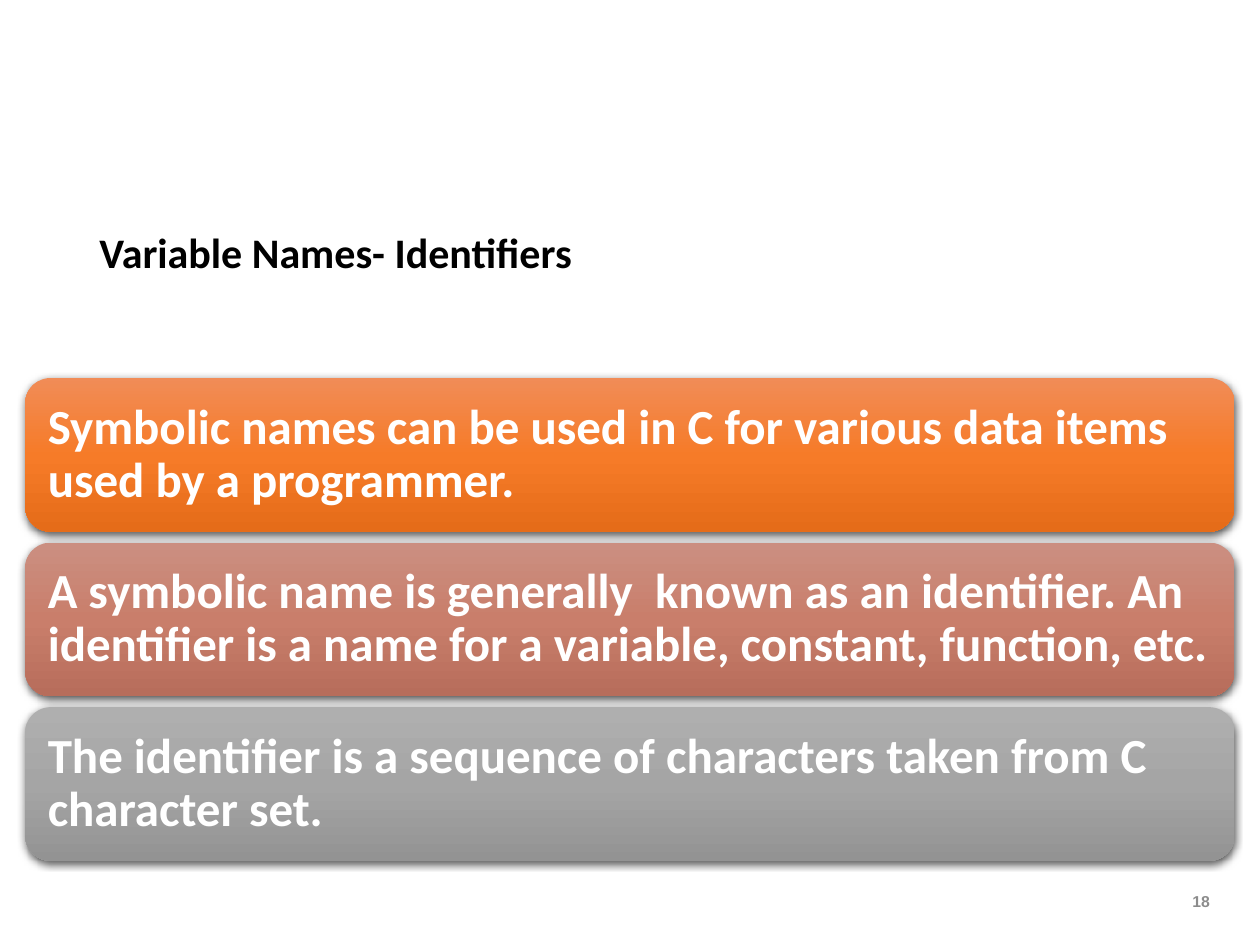
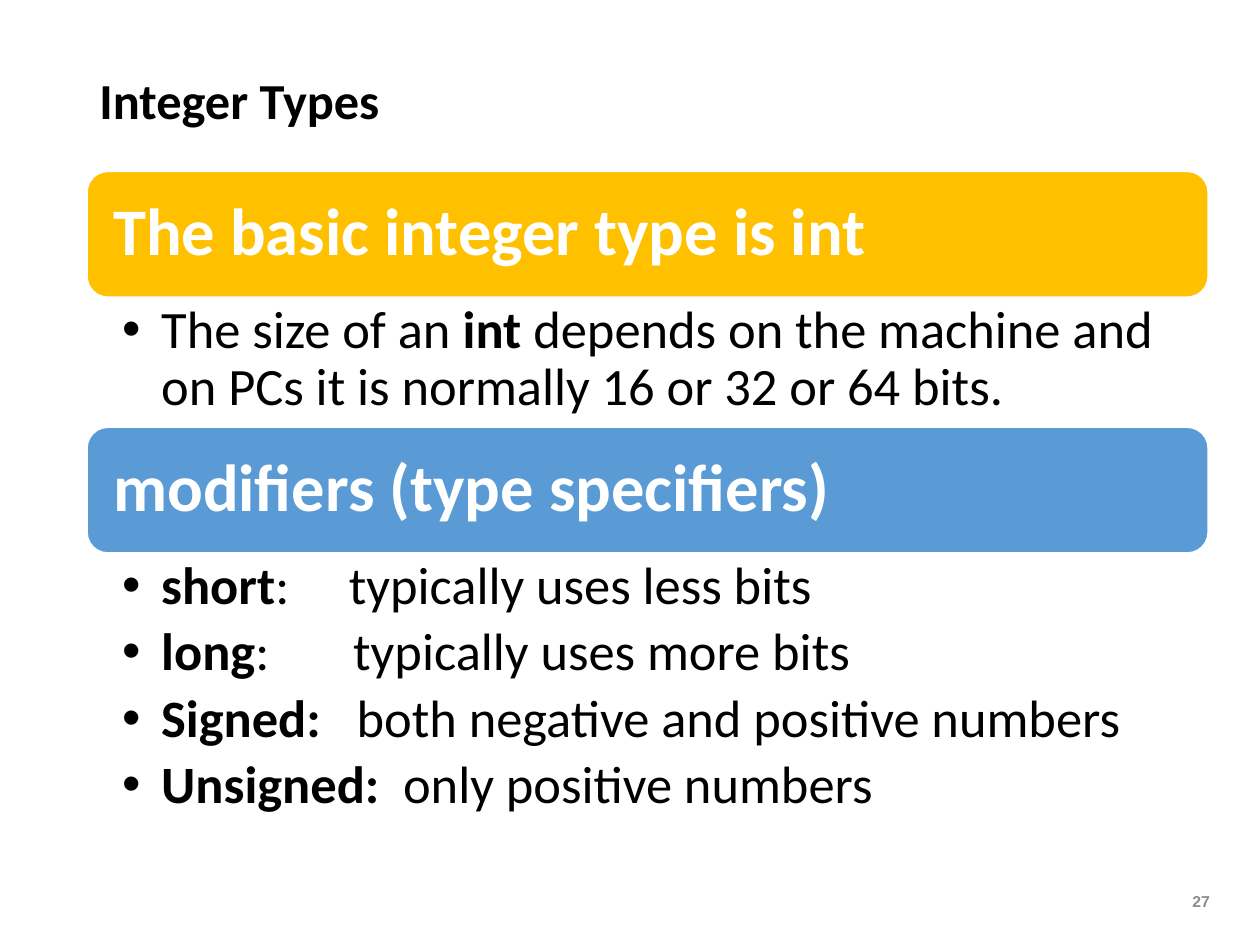
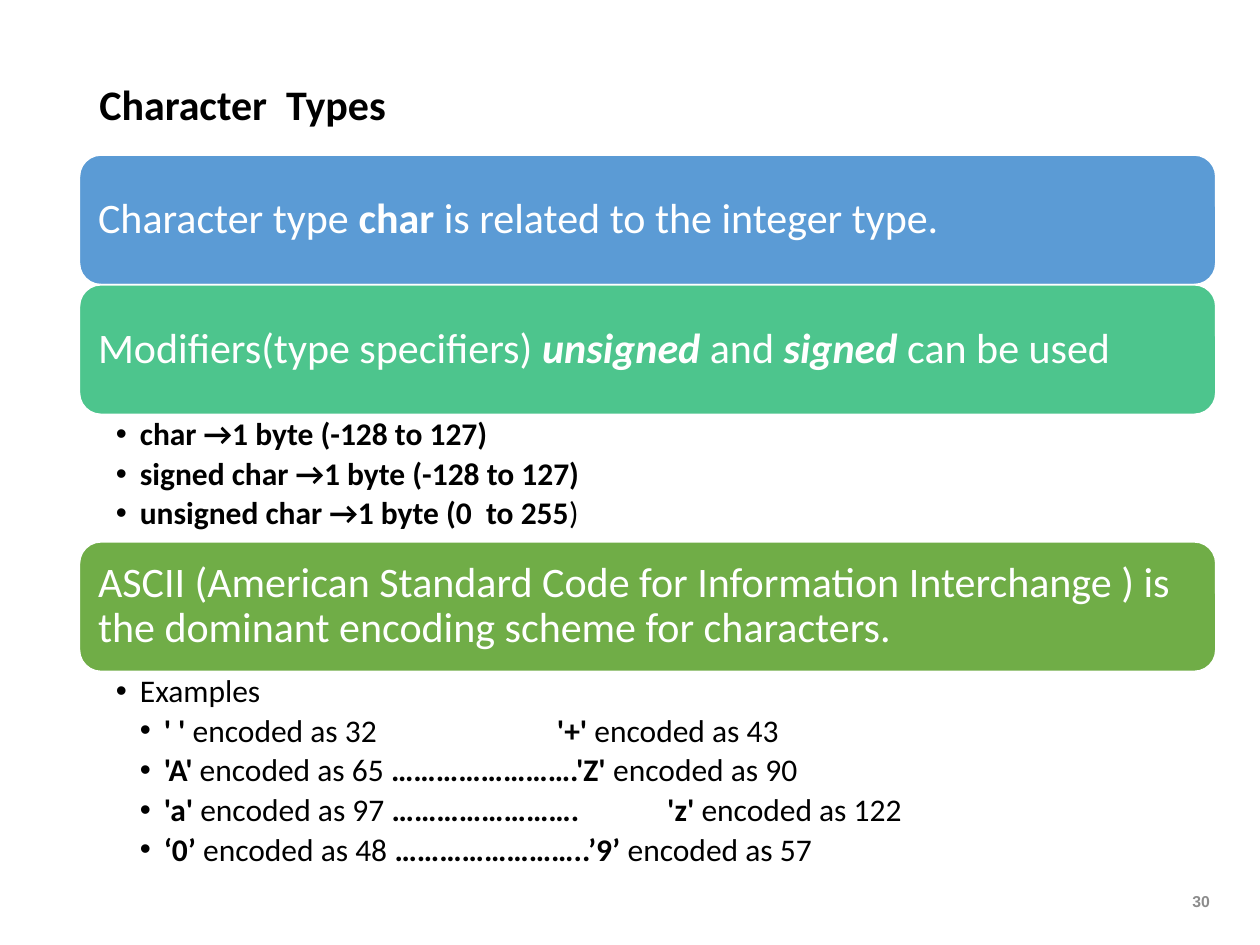
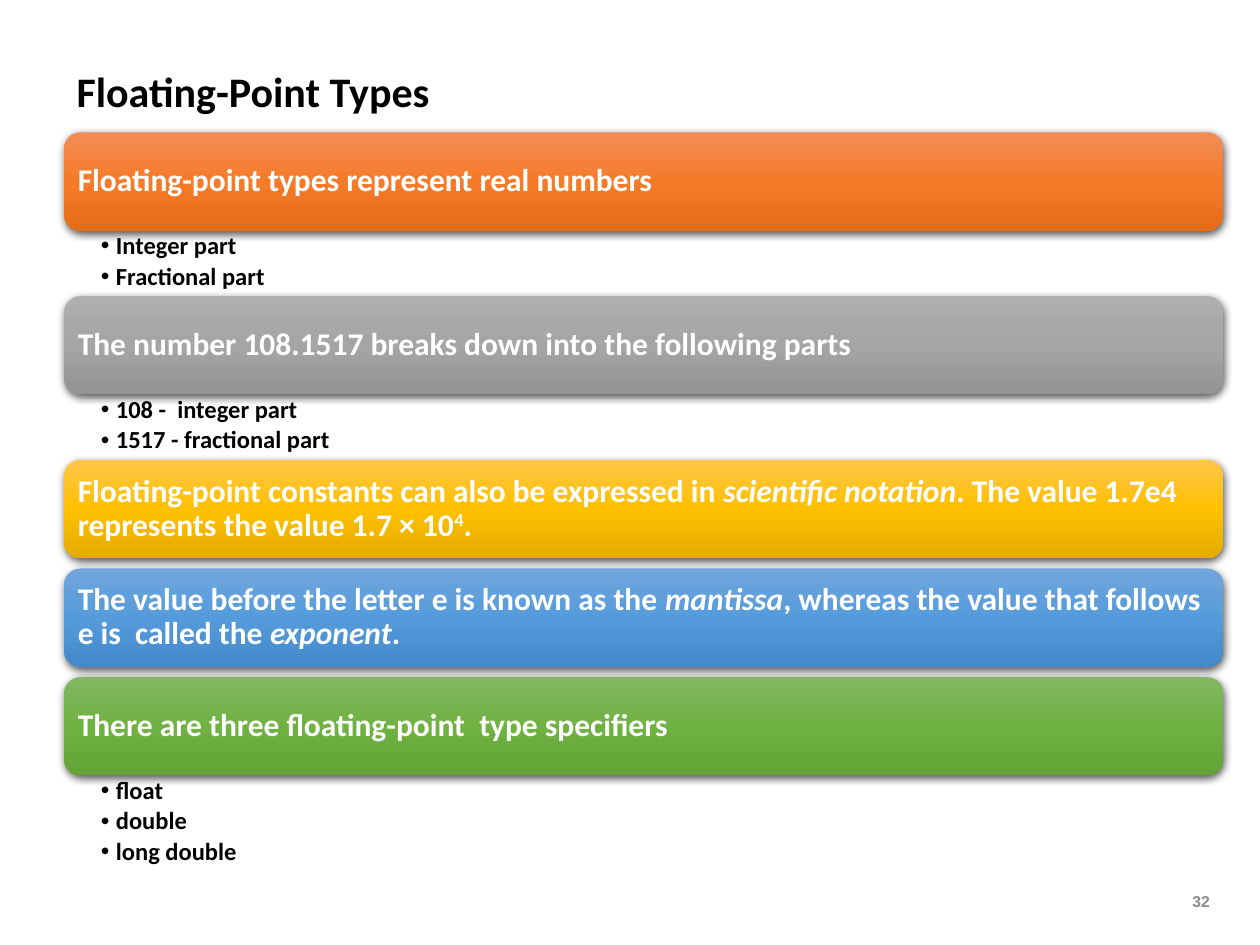
import dataclasses
import typing

import pptx
import pptx.dml.color
import pptx.enum.shapes
import pptx.enum.text
import pptx.oxml
import pptx.oxml.ns
import pptx.util

Pt = pptx.util.Pt
RGB = pptx.dml.color.RGBColor
ALIGN = pptx.enum.text.PP_ALIGN
ANCHOR = pptx.enum.text.MSO_ANCHOR

# Shared colours and fonts
BLACK = RGB(0x00, 0x00, 0x00)
WHITE = RGB(0xFF, 0xFF, 0xFF)
NUMBER_GREY = RGB(0x8C, 0x8C, 0x8C)
GOLD = RGB(0xFF, 0xC0, 0x00)
BLUE = RGB(0x5B, 0x9B, 0xD5)
MINT = RGB(0x4D, 0xC5, 0x8D)
GREEN = RGB(0x70, 0xAD, 0x47)

# Glossy fills: top, middle and bottom colour
ORANGE_GLOSS = (RGB(0xF1, 0x8C, 0x57), RGB(0xF6, 0x7B, 0x28), RGB(0xE5, 0x6C, 0x19))
BRICK_GLOSS = (RGB(0xCB, 0x8F, 0x81), RGB(0xC9, 0x7E, 0x6B), RGB(0xB7, 0x6D, 0x5B))
GREY_GLOSS = (RGB(0xAF, 0xAF, 0xAF), RGB(0xA5, 0xA5, 0xA5), RGB(0x93, 0x93, 0x93))
GOLD_GLOSS = (RGB(0xFF, 0xC6, 0x4B), RGB(0xFF, 0xC0, 0x00), RGB(0xE3, 0xAB, 0x00))
BLUE_GLOSS = (RGB(0x71, 0xA6, 0xDB), RGB(0x55, 0x9B, 0xDB), RGB(0x44, 0x8A, 0xCA))
GREEN_GLOSS = (RGB(0x81, 0xB8, 0x61), RGB(0x6F, 0xB2, 0x42), RGB(0x62, 0xA3, 0x36))

BODY_FONT = "Calibri"
NUMBER_FONT = "Arial"
DEFAULT_INSETS = (7.2, 3.6, 7.2, 3.6)


@dataclasses.dataclass
class Line:
    """A paragraph: runs are (text, marks), marks being b, i and ^ (superscript)."""
    runs: list
    level: int = 1
    tab: typing.Optional[float] = None


@dataclasses.dataclass
class Band:
    """A coloured heading, with the bullet lines below it."""
    fill: typing.Any
    runs: list
    details: list = dataclasses.field(default_factory=list)
    details_height: float = 0


@dataclasses.dataclass
class Stack:
    """Measures shared by the bands of one slide."""
    left: float
    top: float
    width: float
    band_height: float
    band_size: float
    band_inset: float
    gap: float = 0
    detail_size: float = 0
    detail_insets: tuple = DEFAULT_INSETS
    indent: float = 0


def xml(markup):
    return pptx.oxml.parse_xml(markup.replace(">", f" {pptx.oxml.ns.nsdecls('a')}>", 1))


def add_bullet(paragraph, indent, level, tab):
    properties = paragraph._p.get_or_add_pPr()
    properties.set("marL", str(Pt(indent * level)))
    properties.set("indent", str(Pt(-indent)))
    properties.append(xml('<a:buFont typeface="Arial"></a:buFont>'))
    properties.append(xml('<a:buChar char="•"></a:buChar>'))
    if tab:
        properties.append(xml(f'<a:tabLst><a:tab pos="{Pt(tab)}" algn="l"/></a:tabLst>'))


def write_text(shape, lines, *, size, color=BLACK, font=BODY_FONT, align=ALIGN.LEFT,
               anchor=ANCHOR.TOP, insets=DEFAULT_INSETS, spacing=0.9, indent=0):
    frame = shape.text_frame
    frame.word_wrap = True
    frame.vertical_anchor = anchor
    (frame.margin_left, frame.margin_top,
     frame.margin_right, frame.margin_bottom) = map(Pt, insets)
    for index, line in enumerate(lines):
        paragraph = frame.add_paragraph() if index else frame.paragraphs[0]
        paragraph.alignment = align
        paragraph.line_spacing = spacing
        if indent:
            paragraph.space_after = Pt(round(0.18 * size, 1))
            add_bullet(paragraph, indent, line.level, line.tab)
        for text, marks in line.runs:
            run = paragraph.add_run()
            run.text = text
            run.font.name = font
            run.font.size = Pt(size)
            run.font.color.rgb = color
            run.font.bold = "b" in marks
            run.font.italic = "i" in marks
            if "^" in marks:
                run.font._element.set("baseline", "30000")


def add_text(slide, left, top, width, height, lines, **text_format):
    box = slide.shapes.add_textbox(Pt(left), Pt(top), Pt(width), Pt(height))
    write_text(box, lines, **text_format)


def fill_glossy(band, colors):
    """Fill from top to bottom and drop a soft shadow."""
    stops = "".join(
        f'<a:gs pos="{pos}"><a:srgbClr val="{color}"/></a:gs>'
        for pos, color in zip((0, 50000, 100000), colors))
    band.fill.gradient()
    gradient = band._element.spPr.find(pptx.oxml.ns.qn("a:gradFill"))
    for child in list(gradient):
        gradient.remove(child)
    gradient.append(xml(f"<a:gsLst>{stops}</a:gsLst>"))
    gradient.append(xml('<a:lin ang="5400000" scaled="0"></a:lin>'))
    band.line.fill.background()
    effects = band._element.spPr.find(pptx.oxml.ns.qn("a:effectLst"))
    effects.append(xml(
        f'<a:outerShdw blurRad="{Pt(4.5)}" dist="{Pt(1.5)}" dir="5400000" '
        'algn="ctr" rotWithShape="0"><a:srgbClr val="000000">'
        '<a:alpha val="63000"/></a:srgbClr></a:outerShdw>'))


def add_band(slide, stack, top, band):
    shape = slide.shapes.add_shape(
        pptx.enum.shapes.MSO_SHAPE.ROUNDED_RECTANGLE,
        Pt(stack.left), Pt(top), Pt(stack.width), Pt(stack.band_height))
    shape.shadow.inherit = False
    if isinstance(band.fill, RGB):
        shape.fill.solid()
        shape.fill.fore_color.rgb = band.fill
        shape.line.color.rgb = WHITE
        shape.line.width = Pt(1)
    else:
        fill_glossy(shape, band.fill)
    write_text(shape, [Line(band.runs)], size=stack.band_size, color=WHITE,
               anchor=ANCHOR.MIDDLE, insets=(stack.band_inset,) * 4)


def add_stack(slide, stack, bands):
    """Place the bands downwards; details fill the room to the next band."""
    top = stack.top
    for band in bands:
        add_band(slide, stack, top, band)
        top += stack.band_height
        if band.details:
            add_text(slide, stack.left, top, stack.width, band.details_height,
                     band.details, size=stack.detail_size,
                     insets=stack.detail_insets, indent=stack.indent)
        top += band.details_height or stack.gap


def add_page(deck, number, title, title_box, title_size=24):
    slide = deck.slides.add_slide(deck.slide_layouts[6])
    add_text(slide, *title_box, [Line([(title, "b")])],
             size=title_size, anchor=ANCHOR.BOTTOM)
    add_text(slide, 670.32, 500.4, 28.08, 28.8, [Line([(str(number), "b")])],
             size=9, color=NUMBER_GREY, font=NUMBER_FONT, align=ALIGN.RIGHT,
             anchor=ANCHOR.MIDDLE, spacing=1.0)
    return slide


def bold_lines(*texts):
    return [Line([(text, "b")]) for text in texts]


def add_identifiers(deck):
    slide = add_page(deck, 18, "Variable Names- Identifiers", (49.68, 36, 465.84, 126))
    stack = Stack(left=14.4, top=216, width=691.2, band_height=87.84,
                  band_size=28, band_inset=8.64, gap=6.2)
    add_stack(slide, stack, [
        Band(ORANGE_GLOSS, [("Symbolic names can be used in C for various data items "
                             "used by a programmer.", "b")]),
        Band(BRICK_GLOSS, [("A symbolic name is generally  known as an identifier. An "
                            "identifier is a name for a variable, constant, function, "
                            "etc.", "b")]),
        Band(GREY_GLOSS, [("The identifier is a sequence of characters taken from C "
                           "character set.", "b")]),
    ])


def add_integer_types(deck):
    slide = add_page(deck, 27, "Integer Types", (49.68, 36, 310.32, 41.76), 28.8)
    stack = Stack(left=49.68, top=97.92, width=640.8, band_height=72,
                  band_size=38, band_inset=11.52, detail_size=30,
                  detail_insets=(20.16, 3.6, 21.6, 3.6), indent=22.32)
    modifiers = [
        Line([("short", "b"), (":\ttypically uses less bits", "")], tab=129.5),
        Line([("long", "b"), (":\ttypically uses more bits", "")], tab=132),
        Line([("Signed:", "b"), ("\tboth negative and positive numbers", "")], tab=134),
        Line([("Unsigned:", "b"), ("\tonly positive numbers", "")], tab=160.5),
    ]
    add_stack(slide, stack, [
        Band(GOLD, [("The basic integer type is int", "b")],
             [Line([("The size of an ", ""), ("int", "b"),
                    (" depends on the machine and on PCs it is normally "
                     "16 or 32 or 64 bits.", "")])], 74.16),
        Band(BLUE, [("modifiers (type specifiers)", "b")], modifiers, 164.16),
    ])


def add_character_types(deck):
    slide = add_page(deck, 30, "Character  Types", (49.68, 36, 232.56, 41.76))
    stack = Stack(left=45.36, top=88.56, width=649.44, band_height=74.16,
                  band_size=24, band_inset=7.2, detail_size=18,
                  detail_insets=(20.88, 2.16, 10.08, 2.16), indent=13.68)
    ranges = bold_lines("char →1 byte (-128 to 127)", "signed char →1 byte (-128 to 127)")
    ranges.append(Line([("unsigned char →1 byte (0  to 255", "b"), (")", "")]))
    examples = [
        Line([("Examples", "")]),
        Line([("' '", "b"), (" encoded as 32\t", ""), ("'+'", "b"),
              (" encoded as 43", "")], 2, 252),
        Line([("'A'", "b"), (" encoded as 65 ", ""), ("…………………….'Z'", "b"),
              (" encoded as 90", "")], 2),
        Line([("'a'", "b"), (" encoded as 97 ", ""), ("…………………….\t'z'", "b"),
              (" encoded as 122", "")], 2, 315),
        Line([("‘0’ ", "b"), ("encoded as 48 ", ""), ("……………………..’9’ ", "b"),
              ("encoded as 57", "")], 2),
    ]
    add_stack(slide, stack, [
        Band(BLUE, [("Character type ", ""), ("char", "b"),
                    (" is related to the integer type.", "")]),
        Band(MINT, [("Modifiers(type specifiers) ", ""), ("unsigned ", "bi"),
                    ("and ", ""), ("signed", "bi"), (" can be used", "")],
             ranges, 72.72),
        Band(GREEN, [("ASCII (American Standard Code for Information Interchange ) is "
                      "the dominant encoding scheme for characters.", "")],
             examples, 119.52),
    ])


def add_floating_point_types(deck):
    slide = add_page(deck, 32, "Floating-Point Types", (36.72, 28.08, 232.56, 41.76))
    stack = Stack(left=36.72, top=75.6, width=662.4, band_height=56.16,
                  band_size=18, band_inset=5.04, gap=5.9, detail_size=14,
                  detail_insets=(20.88, 1.44, 7.92, 1.44), indent=8.64)
    add_stack(slide, stack, [
        Band(ORANGE_GLOSS, [("Floating-point types represent real numbers", "b")],
             bold_lines("Integer part", "Fractional part"), 37.44),
        Band(GREY_GLOSS,
             [("The number 108.1517 breaks down into the following parts", "b")],
             bold_lines("108 -  integer part", "1517 - fractional part"), 37.44),
        Band(GOLD_GLOSS,
             [("Floating-point constants can also be expressed in ", "b"),
              ("scientific notation", "bi"),
              (". The value 1.7e4 represents the value 1.7 × 10", "b"),
              ("4", "b^"), (".", "b")]),
        Band(BLUE_GLOSS,
             [("The value before the letter e is known as the ", "b"), ("mantissa", "bi"),
              (", whereas the value that follows e is  called the ", "b"),
              ("exponent", "bi"), (".", "b")]),
        Band(GREEN_GLOSS, [("There are three floating-point  type specifiers", "b")],
             bold_lines("float", "double", "long double"), 56.16),
    ])


def main():
    deck = pptx.Presentation()
    deck.slide_width, deck.slide_height = Pt(720), Pt(540)
    add_identifiers(deck)
    add_integer_types(deck)
    add_character_types(deck)
    add_floating_point_types(deck)
    deck.save("out.pptx")


if __name__ == "__main__":
    main()
